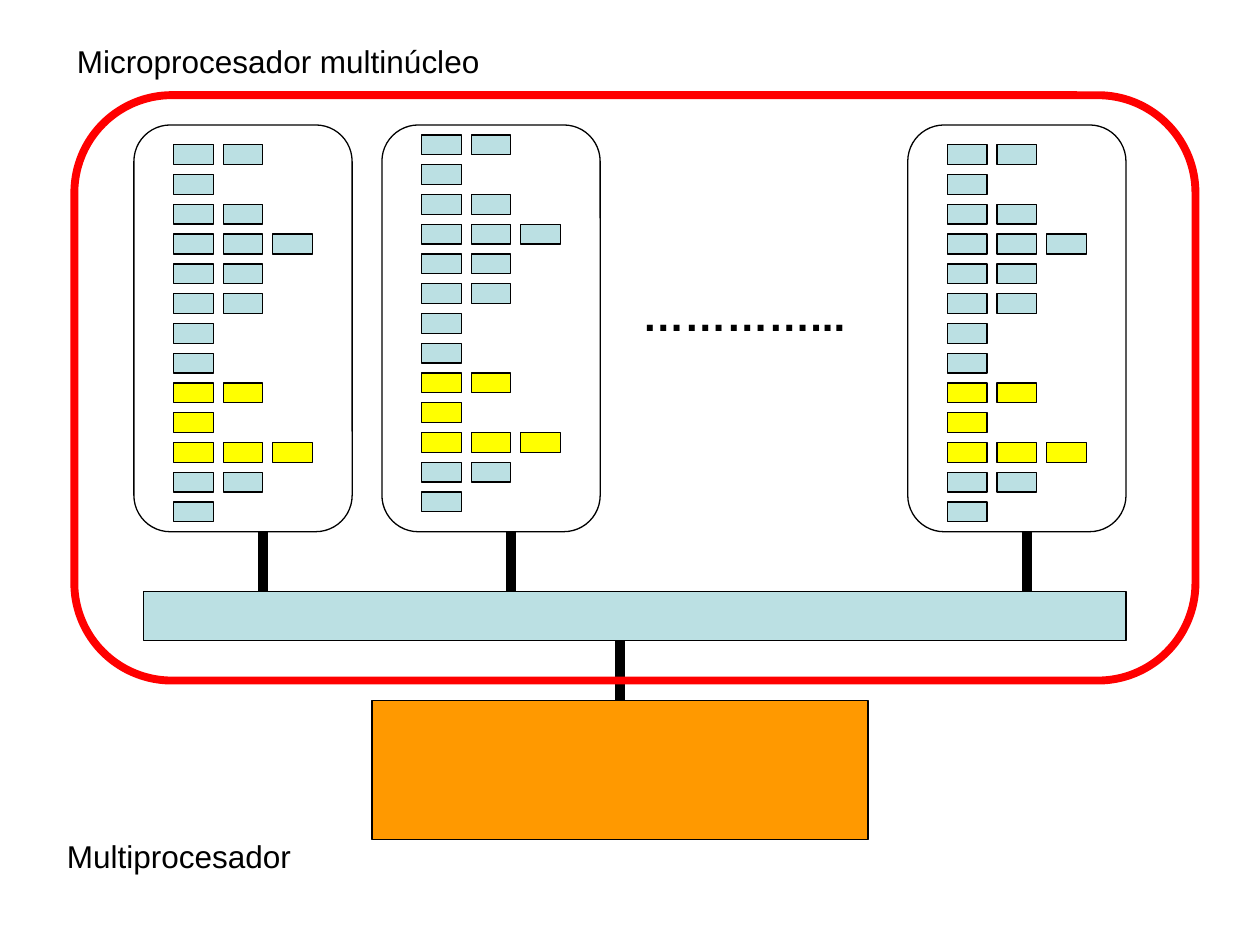
import pptx
import pptx.dml.color
import pptx.enum.shapes
import pptx.enum.text
import pptx.oxml.ns
import pptx.util
from lxml import etree

SHAPES = pptx.enum.shapes.MSO_SHAPE
cm = pptx.util.Cm  # the layout grid is one centimetre per unit

BLACK, BLUE, YELLOW, ORANGE, RED = "000000", "BBE0E3", "FFFF00", "FF9900", "FF0000"

# Blocks in each row of a core, with their colour
CORE_ROWS = [(count, BLUE) for count in (2, 1, 2, 3, 2, 2, 1, 1)]
CORE_ROWS += [(count, YELLOW) for count in (2, 1, 3)]
CORE_ROWS += [(count, BLUE) for count in (2, 1)]
BLOCK_W, BLOCK_H = 0.8, 0.4
COLUMN_STEP, ROW_STEP = 1, 0.6

CORE_TOP, CORE_W, CORE_H = 2.52, 4.4, 8.2
LINK = 1.2
BUS = (2.9, CORE_TOP + CORE_H + LINK, 19.8, 1)
MEMORY = (7.5, BUS[1] + BUS[3] + LINK, 10, 2.8)
# Left edge of each core, drop to its first row, and offset of its link
CORES = [(2.7, 0.4, 2.6), (7.7, 0.2, 2.6), (18.3, 0.4, 2.4)]


def color(hex_string):
    return pptx.dml.color.RGBColor.from_string(hex_string)


def add_box(slide, box, fill=None, line=BLACK, weight=0.75, kind=SHAPES.RECTANGLE):
    shape = slide.shapes.add_shape(kind, *map(cm, box))
    shape.shadow.inherit = False
    if fill:
        shape.fill.solid()
        shape.fill.fore_color.rgb = color(fill)
    else:
        shape.fill.background()
    shape.line.color.rgb = color(line)
    shape.line.width = pptx.util.Pt(weight)
    return shape


def add_link(slide, x, top):
    """Thick vertical link between two parts."""
    link = slide.shapes.add_connector(
        pptx.enum.shapes.MSO_CONNECTOR.STRAIGHT, cm(x), cm(top), cm(x), cm(top + LINK))
    link.line.color.rgb = color(BLACK)
    link.line.width = pptx.util.Pt(6)
    etree.SubElement(link._element.spPr, pptx.oxml.ns.qn("a:effectLst"))


def add_text(slide, box, text, size=18, bold=False, before=11.2):
    frame = slide.shapes.add_textbox(*map(cm, box)).text_frame
    frame.word_wrap = True
    frame.auto_size = pptx.enum.text.MSO_AUTO_SIZE.SHAPE_TO_FIT_TEXT
    paragraph = frame.paragraphs[0]
    paragraph.space_before = pptx.util.Pt(before)
    run = paragraph.add_run()
    run.text = text
    run.font.name = "Arial"
    run.font.size = pptx.util.Pt(size)
    run.font.bold = bold
    run.font.color.rgb = color(BLACK)


def add_core(slide, box, drop):
    """Rounded core holding its rows of blocks."""
    left, top, _, _ = box
    add_box(slide, box, kind=SHAPES.ROUNDED_RECTANGLE)
    for row, (count, fill) in enumerate(CORE_ROWS):
        for column in range(count):
            add_box(slide, (left + 0.8 + column * COLUMN_STEP,
                            top + drop + row * ROW_STEP, BLOCK_W, BLOCK_H), fill)


def add_chip(slide, box):
    """Cores on a shared bus, linked to the memory and framed by the chip outline."""
    add_box(slide, BUS, BLUE)
    for left, drop, link_offset in CORES:
        add_core(slide, (left, CORE_TOP, CORE_W, CORE_H), drop)
        add_link(slide, left + link_offset, CORE_TOP + CORE_H)
    add_text(slide, (12.7, 5.72, 4.8, 1.27), "…………...", size=24, bold=True, before=15)
    add_box(slide, MEMORY, ORANGE)
    add_link(slide, MEMORY[0] + MEMORY[2] / 2, BUS[1] + BUS[3])
    add_box(slide, box, line=RED, weight=4.5, kind=SHAPES.ROUNDED_RECTANGLE)


def main():
    deck = pptx.Presentation()
    deck.slide_width, deck.slide_height = cm(25.4), cm(19.05)
    slide = deck.slides.add_slide(deck.slide_layouts[6])

    add_chip(slide, (1.5, 1.92, 22.6, 11.8))

    # Labels
    add_text(slide, (1.3, 0.72, 11, 1.02), "Microprocesador multinúcleo")
    add_text(slide, (1.1, 16.74, 7.6, 1.02), "Multiprocesador")

    deck.save("out.pptx")


if __name__ == "__main__":
    main()
